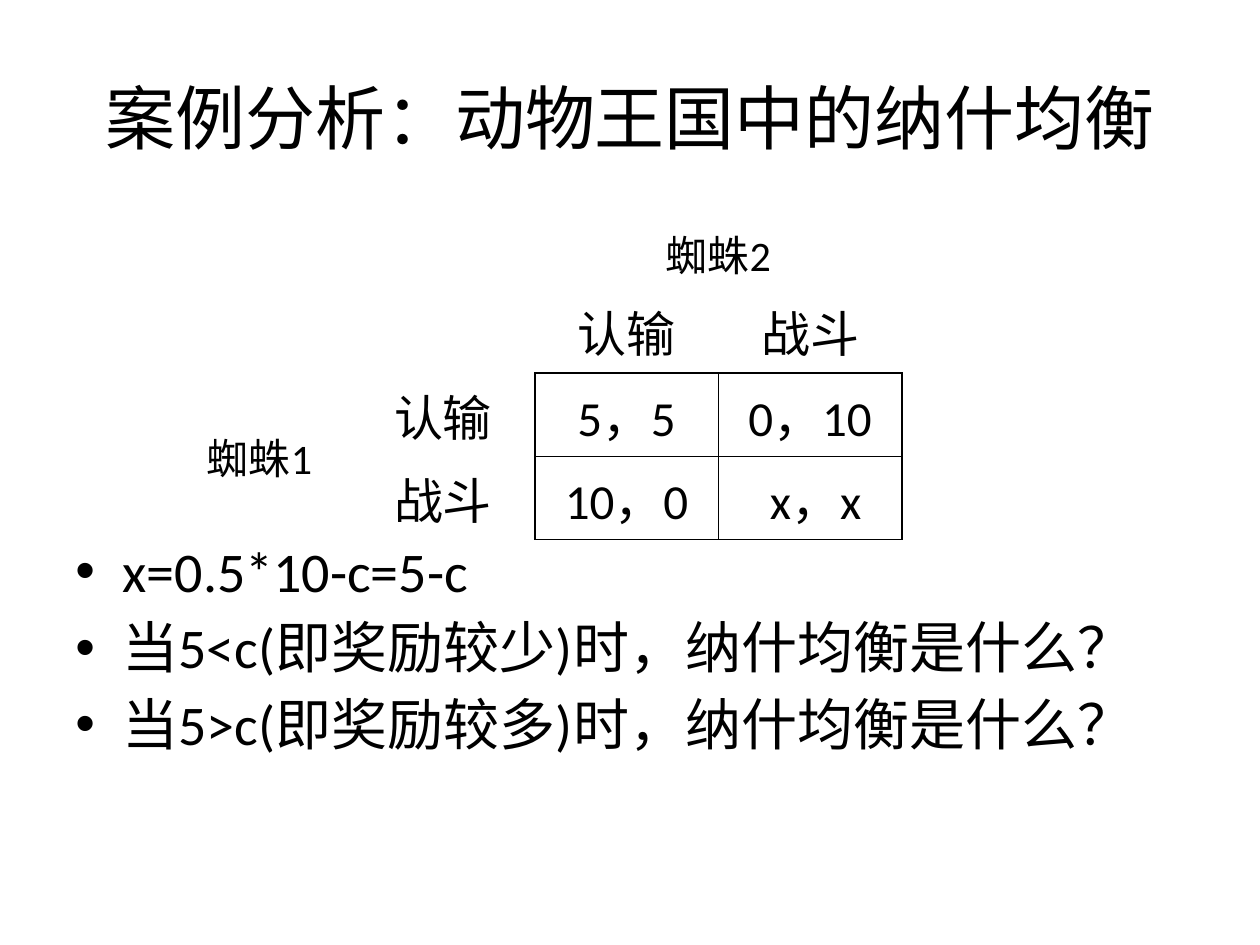
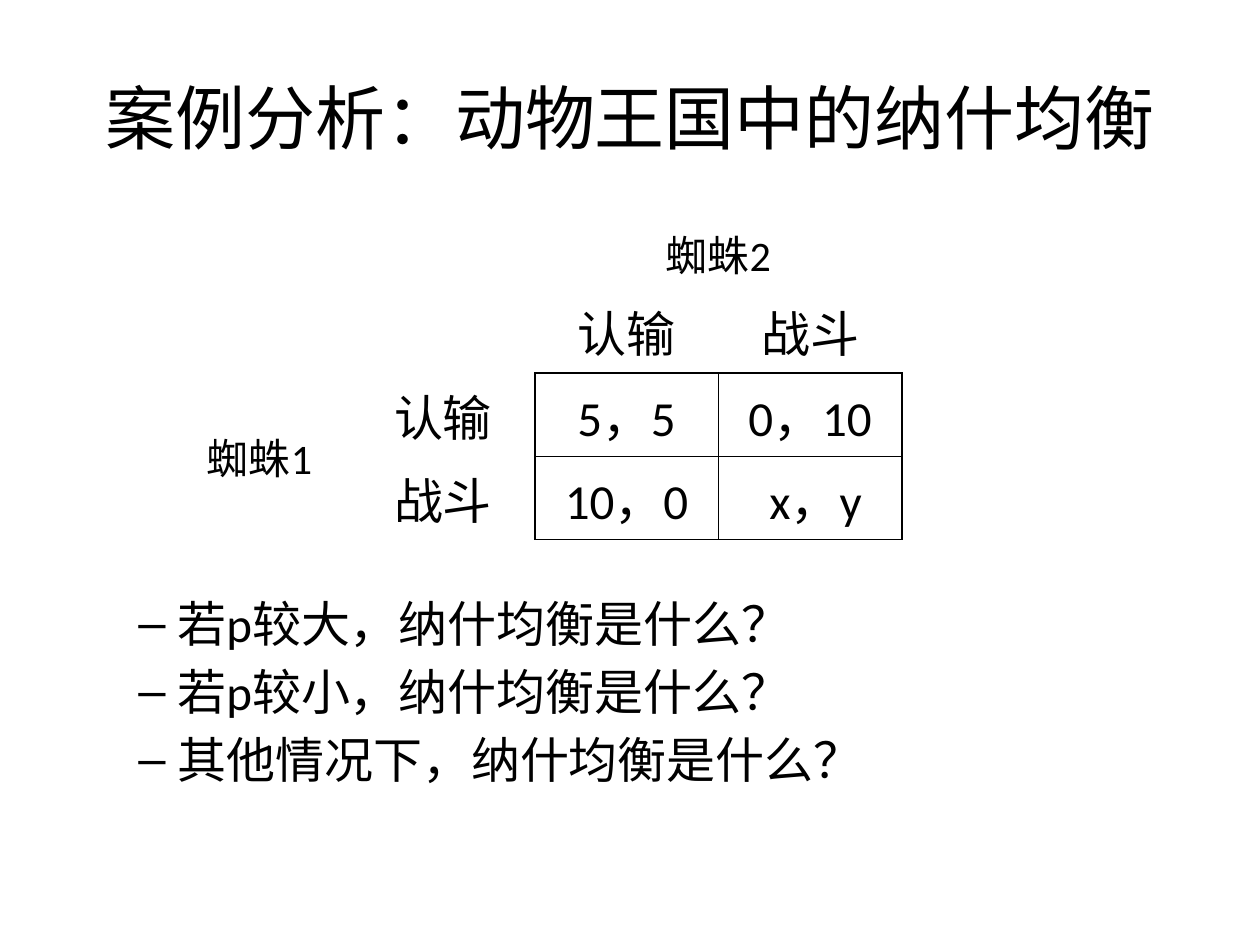
import pptx
import pptx.util
import pptx.dml.color
import pptx.enum.lang
import pptx.enum.text
import pptx.oxml
import pptx.oxml.ns

Cm = pptx.util.Cm
Pt = pptx.util.Pt
BLACK = pptx.dml.color.RGBColor(0, 0, 0)
ANCHOR = pptx.enum.text.MSO_ANCHOR
ALIGN = pptx.enum.text.PP_ALIGN
CHINESE = pptx.enum.lang.MSO_LANGUAGE_ID.SIMPLIFIED_CHINESE

TITLE = "案例分析：动物王国中的纳什均衡"
SIDE, BODY_WIDTH = 1.27, 22.86
COLUMN_WIDTH = 3.7
ROW_HEIGHTS = [1.47, 1.68, 1.68, 1.68]
HEADINGS = {
    (0, 2): "蜘蛛2", (2, 0): "蜘蛛1",
    (1, 2): "认输", (1, 3): "战斗",
    (2, 1): "认输", (3, 1): "战斗",
}
BORDERS = {
    (1, 2): "B", (1, 3): "B", (2, 1): "R", (3, 1): "R",
    (2, 2): "LRTB", (2, 3): "LRTB", (3, 2): "LRTB", (3, 3): "LRTB",
}
MAIN_BULLET = {"level": 0, "mark": "•", "size": 32, "left": 0.95, "hang": 0.95}
SUB_BULLET = {"level": 1, "mark": "–", "size": 28, "left": 2.06, "hang": 0.79}


def set_values(target, values):
    for name, value in values.items():
        setattr(target, name, value)


def write(para, text, size, **layout):
    set_values(para, layout)
    span = para.add_run()
    span.text = text
    set_values(span.font, {"name": "Calibri", "size": Pt(size), "language_id": CHINESE})
    span.font.color.rgb = BLACK


def add_box(page, top, height, **frame_format):
    box = page.shapes.add_textbox(Cm(SIDE), Cm(top), Cm(BODY_WIDTH), Cm(height))
    set_values(box.text_frame, {"word_wrap": True, **frame_format})
    return box.text_frame


def add_title(page):
    frame = add_box(page, 0.76, 3.18, vertical_anchor=ANCHOR.MIDDLE)
    write(frame.paragraphs[0], TITLE, 40, alignment=ALIGN.CENTER)


def add_bullets(page, top, inset, style, lines):
    frame = add_box(page, top, 13.97, margin_top=Cm(inset))
    for number, line in enumerate(lines):
        para = frame.add_paragraph() if number else frame.paragraphs[0]
        write(para, line, style["size"], level=style["level"], space_before=Pt(5.2))
        properties = para._p.get_or_add_pPr()
        properties.set("marL", str(Cm(style["left"])))
        properties.set("indent", str(-Cm(style["hang"])))
        for tag, key, value in (("buFont", "typeface", "Arial"),
                                ("buChar", "char", style["mark"])):
            element = pptx.oxml.parse_xml(
                f'<a:{tag} {pptx.oxml.ns.nsdecls("a")} {key}="{value}"/>')
            properties.append(element)


def add_border(cell, side):
    cell._tc.get_or_add_tcPr().append(pptx.oxml.parse_xml(
        f'<a:ln{side} {pptx.oxml.ns.nsdecls("a")} w="{Pt(1)}">'
        f'<a:solidFill><a:srgbClr val="{BLACK}"/></a:solidFill></a:ln{side}>'))


def add_payoffs(page, last_payoff):
    rows = len(ROW_HEIGHTS)
    table = page.shapes.add_table(rows, 4, Cm(3.38), Cm(4.37), Cm(4 * COLUMN_WIDTH),
                                  Cm(sum(ROW_HEIGHTS))).table
    set_values(table, {"first_row": False, "horz_banding": False})
    for column in table.columns:
        column.width = Cm(COLUMN_WIDTH)
    for row, height in zip(table.rows, ROW_HEIGHTS):
        row.height = Cm(height)
    table.cell(0, 2).merge(table.cell(0, 3))
    table.cell(2, 0).merge(table.cell(3, 0))

    texts = {**HEADINGS, (2, 2): "5，5", (2, 3): "0，10",
             (3, 2): "10，0", (3, 3): last_payoff}
    for place in ((row, column) for row in range(rows) for column in range(4)):
        cell = table.cell(*place)
        for side in BORDERS.get(place, ""):
            add_border(cell, side)
        cell.fill.background()
        cell.vertical_anchor = ANCHOR.MIDDLE
        if place in texts:
            size = 24 if 0 in place else 28
            write(cell.text_frame.paragraphs[0], texts[place], size,
                  alignment=ALIGN.CENTER, space_before=Pt(0.2 * size))


def add_page(deck, last_payoff, top, inset, style, lines):
    page = deck.slides.add_slide(deck.slide_layouts[6])
    add_title(page)
    add_bullets(page, top, inset, style, lines)
    add_payoffs(page, last_payoff)


def main():
    deck = pptx.Presentation()
    set_values(deck, {"slide_width": Cm(25.4), "slide_height": Cm(19.05)})
    add_page(deck, " x，x", 4.45, 6.37, MAIN_BULLET, [
        "x=0.5*10-c=5-c",
        "当5<c(即奖励较少)时，纳什均衡是什么？",
        "当5>c(即奖励较多)时，纳什均衡是什么？",
    ])
    add_page(deck, " x，y", 4.24, 7.72, SUB_BULLET, [
        "若p较大，纳什均衡是什么？",
        "若p较小，纳什均衡是什么？",
        "其他情况下，纳什均衡是什么？",
    ])
    deck.save("out.pptx")


main()
